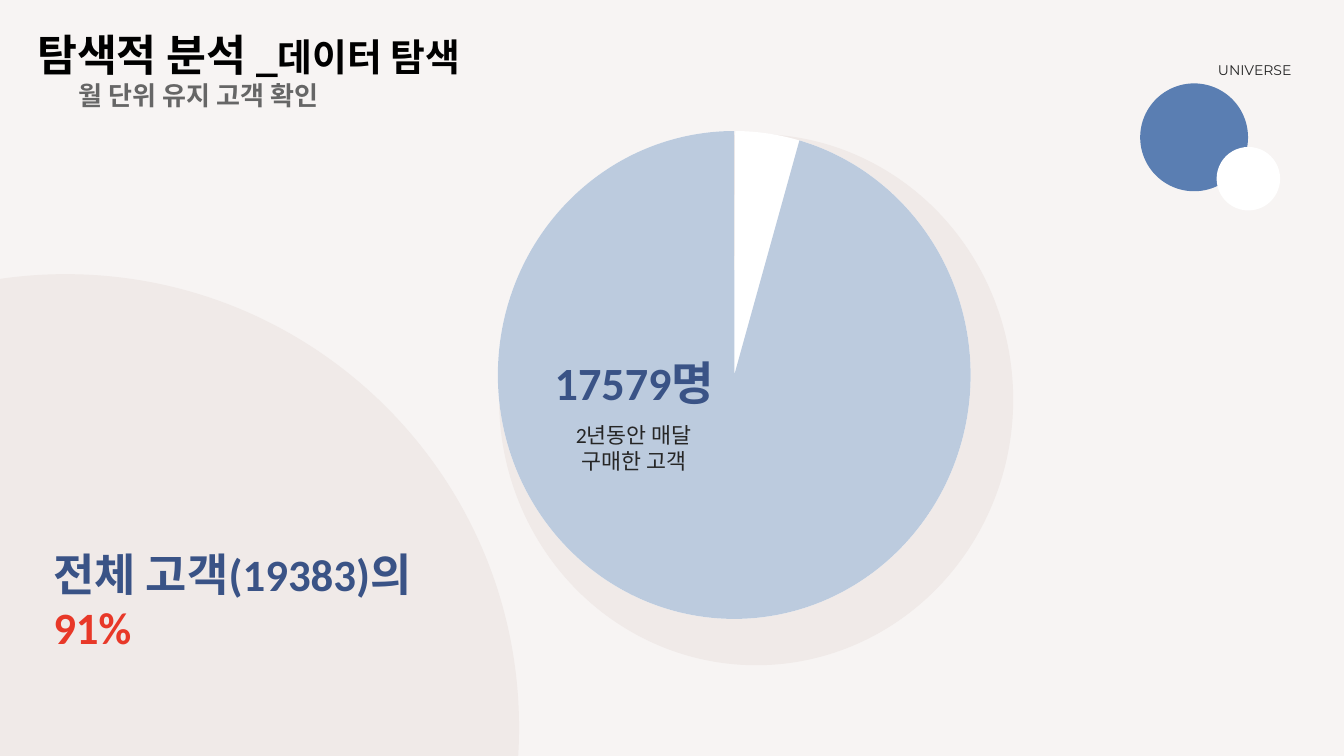
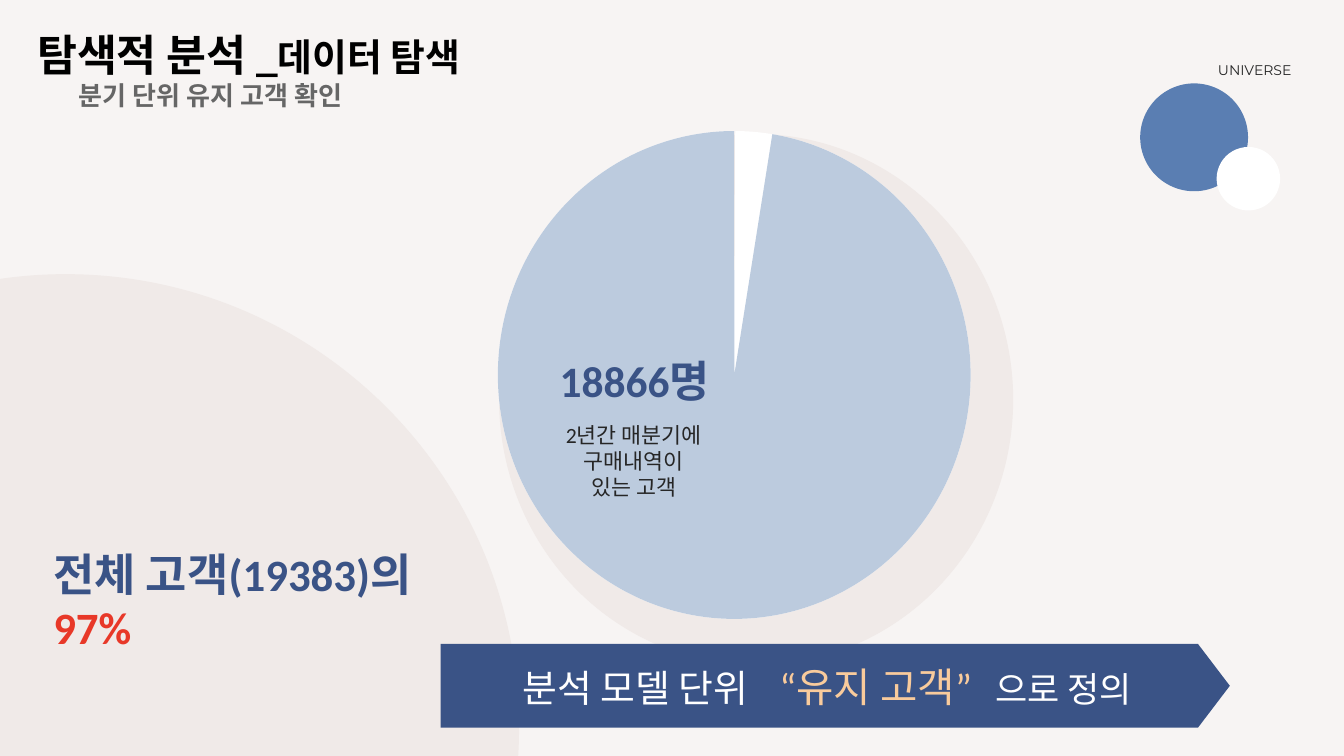
from dataclasses import dataclass
from math import acos, cos, pi, sin, tan
from typing import NamedTuple

from pptx import Presentation
from pptx.dml.color import RGBColor
from pptx.enum.shapes import MSO_SHAPE
from pptx.enum.text import MSO_ANCHOR, MSO_AUTO_SIZE, PP_ALIGN
from pptx.oxml.ns import qn
from pptx.oxml.xmlchemy import OxmlElement
from pptx.util import Inches, Pt

SLIDE_WIDTH, SLIDE_HEIGHT = Inches(13.333), Inches(7.5)
COLUMNS, ROWS = 160, 90

CREAM, SAND, WHITE, BLACK = "F7F4F3", "F0EAE8", "FFFFFF", "000000"
NAVY, BLUE, PALE_BLUE = "3A5386", "5A7EB2", "BCCBDE"
RED, PEACH, CHARCOAL, GREY = "E83828", "F9CB9C", "262626", "666666"
BODY_FONT, LABEL_FONT = "Calibri", "Montserrat"


class Box(NamedTuple):
    """Left, top, width and height in columns and rows of the slide grid."""
    left: float
    top: float
    width: float
    height: float


class Run(NamedTuple):
    text: str
    size: float
    color: str
    bold: bool = False
    font: str = BODY_FONT
    tracking: float = 0


class Circle(NamedTuple):
    box: Box
    color: str


@dataclass(frozen=True)
class TextStyle:
    box: Box
    align: PP_ALIGN = PP_ALIGN.LEFT
    anchor: MSO_ANCHOR = MSO_ANCHOR.TOP
    line_spacing: float = 1.0
    margin_left: float = 0.1
    margin_top: float = 0.05
    grow: bool = False


@dataclass(frozen=True)
class RetentionSlide:
    subtitle: str
    customers: str
    customers_size: float
    caption: list[str]
    share: str
    pie_start: float
    conclusion: tuple[Run, ...] = ()


PIE_BOX = Box(59.28, 15.6, 56.28, 58.08)
PIE_END = 270
WHITE_PIE_START = 270.24
ARROW_BOX = Box(52.45, 76.67, 93.96, 9.96)

CORNER_CENTER = (7.8, 86.64)
CORNER_RADIUS = 54
CORNER_LEFT = -6.24

PIE_SHADOW = Circle(Box(59.42, 15.96, 61.2, 63.24), SAND)
BADGE = (
    Circle(Box(135.74, 9.93, 12.84, 12.84), BLUE),
    Circle(Box(144.84, 17.5, 7.56, 7.56), WHITE),
)

TITLE = TextStyle(Box(3.27, 1.85, 149, 9.96), anchor=MSO_ANCHOR.MIDDLE, line_spacing=0.9)
SUBTITLE = TextStyle(Box(6.96, 8.64, 40.32, 6.6), line_spacing=0.8,
                     margin_left=0.2, margin_top=0.13)
CUSTOMERS = TextStyle(Box(61.8, 41.56, 27.48, 7.9), align=PP_ALIGN.CENTER, grow=True)
CAPTION = TextStyle(Box(66.14, 49.62, 18.6, 6), align=PP_ALIGN.CENTER)
TOTAL = TextStyle(Box(5.16, 63.84, 48.96, 15.36), margin_top=0.1, grow=True)
LABEL = TextStyle(Box(77.5, 6.7, 77.4, 3.24), align=PP_ALIGN.RIGHT, grow=True)
CONCLUSION = TextStyle(ARROW_BOX, align=PP_ALIGN.CENTER, anchor=MSO_ANCHOR.MIDDLE,
                       margin_top=0.1)

SLIDES = [
    RetentionSlide("월 단위 유지 고객 확인", "17579명", 33,
                   ["2년동안 매달", "구매한 고객"], "91%", 285.53),
    RetentionSlide("분기 단위 유지 고객 확인", "18866명", 31,
                   ["2년간 매분기에 구매내역이 있는 고객"], "97%", 278.99,
                   (Run("분석 모델 단위", 27, WHITE),
                    Run(" ", 27, WHITE, tracking=16),
                    Run("“유지 고객”", 29, PEACH),
                    Run(" ", 25, WHITE, tracking=11),
                    Run("으로 정의", 25, WHITE))),
]


def across(columns: float) -> int:
    return round(SLIDE_WIDTH * columns / COLUMNS)


def down(rows: float) -> int:
    return round(SLIDE_HEIGHT * rows / ROWS)


def place(box: Box) -> tuple[int, int, int, int]:
    return across(box.left), down(box.top), across(box.width), down(box.height)


def paint(color_format, color: str) -> None:
    color_format.rgb = RGBColor.from_string(color)


def fill_plain(shape, color: str) -> None:
    """Give a shape one fill, with no outline or shadow."""
    shape.shadow.inherit = False
    shape.fill.solid()
    paint(shape.fill.fore_color, color)
    shape.line.fill.background()


def add_preset(slide, kind: MSO_SHAPE, box: Box, color: str, adjustments: tuple = ()):
    shape = slide.shapes.add_shape(kind, *place(box))
    for index, value in enumerate(adjustments):
        shape.adjustments[index] = value
    fill_plain(shape, color)
    return shape


def add_pie(slide, start: float, color: str) -> None:
    """Draw a pie clockwise from start degrees to the top of the circle."""
    degree = 60000 / 100000
    add_preset(slide, MSO_SHAPE.PIE, PIE_BOX, color, (start * degree, PIE_END * degree))


def on_corner_disc(angle: float, tangent: float = 0) -> tuple[int, int]:
    """Find a point of the disc's rim, moved along the tangent there."""
    center_x, center_y = CORNER_CENTER
    return (across(center_x + CORNER_RADIUS * (cos(angle) - tangent * sin(angle))),
            down(center_y + CORNER_RADIUS * (sin(angle) + tangent * cos(angle))))


def bend_lines(shape) -> None:
    """Turn each three line segments of a freeform into one Bezier curve."""
    lines = list(shape._element.iter(qn("a:lnTo")))
    for first in range(0, len(lines), 3):
        curve = OxmlElement("a:cubicBezTo")
        lines[first].addprevious(curve)
        for line in lines[first:first + 3]:
            curve.append(line[0])
            line.getparent().remove(line)


def add_corner_disc(slide) -> None:
    """Draw the large disc, cut straight along its left side."""
    reach = acos((CORNER_LEFT - CORNER_CENTER[0]) / CORNER_RADIUS)
    angles = [-reach, -pi / 2, 0, pi / 2, reach]
    points = []
    for start, end in zip(angles, angles[1:]):
        handle = 4 / 3 * tan((end - start) / 4)
        points += [on_corner_disc(start, handle), on_corner_disc(end, -handle),
                   on_corner_disc(end)]
    builder = slide.shapes.build_freeform(*on_corner_disc(-reach))
    builder.add_line_segments(points, close=True)
    disc = builder.convert_to_shape()
    bend_lines(disc)
    fill_plain(disc, SAND)


def add_run(paragraph, content: Run) -> None:
    run = paragraph.add_run()
    run.text = content.text
    formats = {"size": Pt(content.size), "bold": content.bold, "name": content.font}
    for name, value in formats.items():
        setattr(run.font, name, value)
    paint(run.font.color, content.color)
    properties = run.font._element
    if content.tracking:
        properties.set("spc", str(round(content.tracking * 100)))
    east_asian = OxmlElement("a:ea")
    east_asian.set("typeface", content.font)
    properties.append(east_asian)


def write(shape, style: TextStyle, paragraphs: list) -> None:
    frame = shape.text_frame
    formats = {
        "word_wrap": True,
        "auto_size": MSO_AUTO_SIZE.SHAPE_TO_FIT_TEXT if style.grow else MSO_AUTO_SIZE.NONE,
        "vertical_anchor": style.anchor,
        "margin_left": Inches(style.margin_left),
        "margin_right": Inches(0.1),
        "margin_top": Inches(style.margin_top),
        "margin_bottom": Inches(style.margin_top),
    }
    for name, value in formats.items():
        setattr(frame, name, value)
    for index, runs in enumerate(paragraphs):
        paragraph = frame.add_paragraph() if index else frame.paragraphs[0]
        paragraph.alignment = style.align
        paragraph.line_spacing = style.line_spacing
        for run in runs:
            add_run(paragraph, run)


def add_text(slide, style: TextStyle, *paragraphs) -> None:
    write(slide.shapes.add_textbox(*place(style.box)), style, paragraphs)


def add_circles(slide, *circles: Circle) -> None:
    for circle in circles:
        add_preset(slide, MSO_SHAPE.OVAL, circle.box, circle.color)


def add_frame(slide, subtitle: str) -> None:
    """Draw the background, headings and badge that every slide shares."""
    slide.background.fill.solid()
    paint(slide.background.fill.fore_color, CREAM)
    add_corner_disc(slide)
    add_circles(slide, *BADGE)
    add_text(slide, TITLE, [Run("탐색적 분석 _", 31, BLACK, True),
                            Run("데이터 탐색", 27, BLACK, True)])
    add_text(slide, SUBTITLE, [Run(subtitle, 18.6, GREY, True)])
    add_text(slide, LABEL, [Run("UNIVERSE", 10, CHARCOAL, font=LABEL_FONT)])


def add_retention_slide(presentation, content: RetentionSlide) -> None:
    slide = presentation.slides.add_slide(presentation.slide_layouts[6])
    add_frame(slide, content.subtitle)
    add_circles(slide, PIE_SHADOW)
    add_pie(slide, WHITE_PIE_START, WHITE)
    add_pie(slide, content.pie_start, PALE_BLUE)
    add_text(slide, CUSTOMERS,
             [Run(content.customers, content.customers_size, NAVY, True)])
    add_text(slide, CAPTION, *([Run(line, 15.5, CHARCOAL)] for line in content.caption))
    add_text(slide, TOTAL, [Run("전체 고객(19383)의", 32, NAVY, True)],
             [Run(content.share, 32, RED, True)])
    if content.conclusion:
        arrow = add_preset(slide, MSO_SHAPE.PENTAGON, ARROW_BOX, NAVY, (0.38,))
        write(arrow, CONCLUSION, [content.conclusion])


def main() -> None:
    presentation = Presentation()
    presentation.slide_width, presentation.slide_height = SLIDE_WIDTH, SLIDE_HEIGHT
    for content in SLIDES:
        add_retention_slide(presentation, content)
    presentation.save("out.pptx")


if __name__ == "__main__":
    main()
